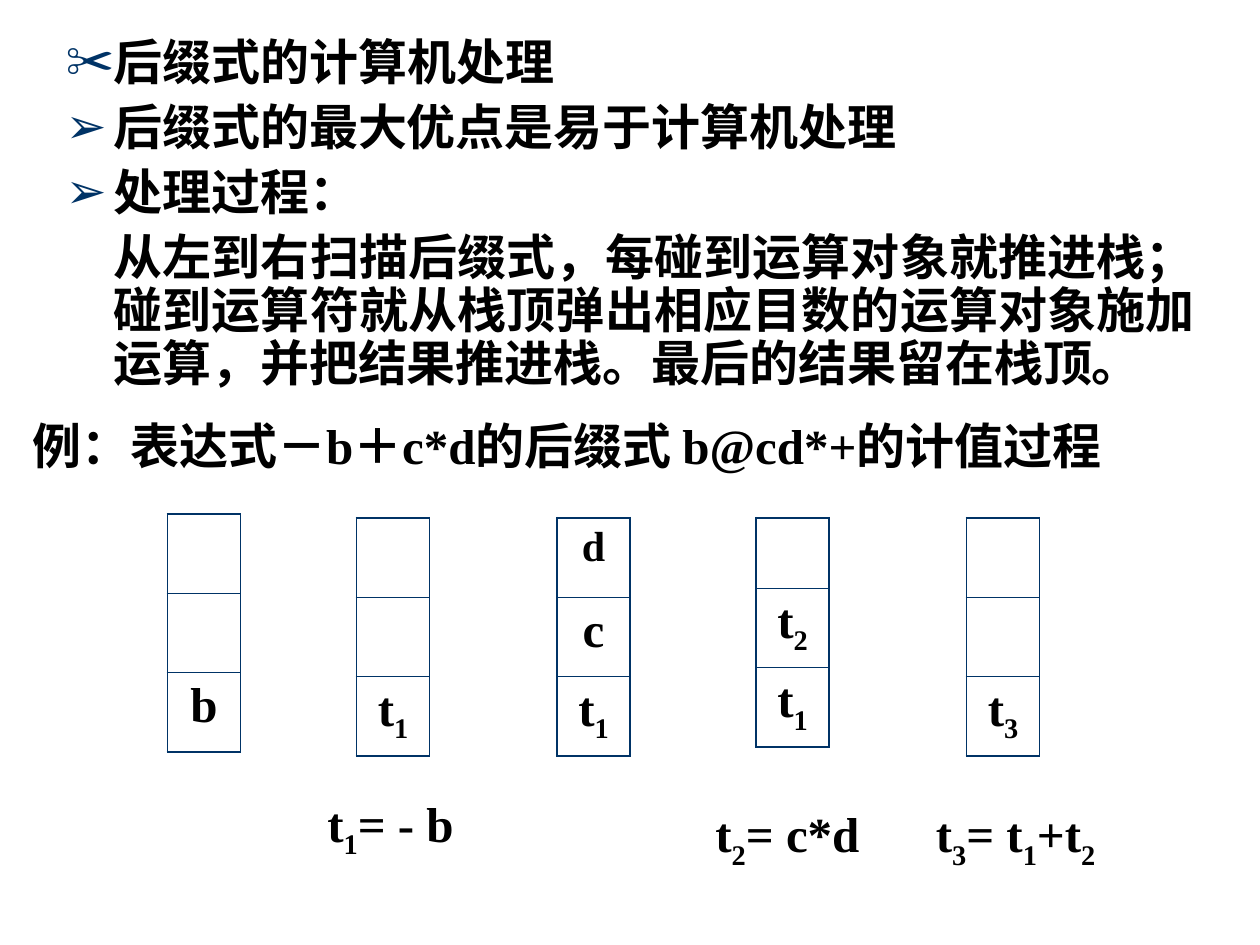
from lxml.etree import SubElement
from pptx import Presentation
from pptx.dml.color import RGBColor
from pptx.enum.text import MSO_ANCHOR, MSO_AUTO_SIZE, PP_ALIGN
from pptx.oxml.ns import qn
from pptx.util import Inches, Pt

COLORS = {"text": "000000", "accent": "003366"}
FONT = "Times New Roman"
CELL_SIZE = 0.63
STACK_WIDTH = 0.58

BULLETS = [
    ("✂", PP_ALIGN.LEFT, "后缀式的计算机处理"),
    ("➢", PP_ALIGN.JUSTIFY, "后缀式的最大优点是易于计算机处理"),
    ("➢", PP_ALIGN.JUSTIFY, "处理过程："),
    (None, PP_ALIGN.JUSTIFY,
     "从左到右扫描后缀式，每碰到运算对象就推进栈；碰到运算符就从栈顶弹出相应目数的"
     "运算对象施加运算，并把结果推进栈。最后的结果留在栈顶。"),
]
# left, top, height of the top cell, cells from top to bottom; "_" lowers the next character
STACKS = [
    (1.33, 4.08, CELL_SIZE, ["", "", "b"]),
    (2.83, 4.11, CELL_SIZE, ["", "", "t_1"]),
    (4.42, 4.11, CELL_SIZE, ["d", "c", "t_1"]),
    (6, 4.11, 0.56, ["", "t_2", "t_1"]),
    (7.67, 4.11, CELL_SIZE, ["", "", "t_3"]),
]
LABELS = [
    (2.5, 6.25, 1.33, 0.63, True, "t_1= - b"),
    (5.58, 6.33, 1.58, 0.63, True, "t_2= c*d"),
    (7.33, 6.33, 1.67, 0.63, True, "t_3= t_1+t_2"),
    (0.16, 3.25, 9.24, 0.57, False, "例：表达式－b＋c*d的后缀式 b@cd*+的计值过程"),
]


def add_run(paragraph, text, size, subscript=False):
    run = paragraph.add_run()
    run.text = text
    for name, value in {"name": FONT, "size": Pt(size), "bold": True}.items():
        setattr(run.font, name, value)
    run.font.color.rgb = RGBColor.from_string(COLORS["text"])
    if subscript:
        run._r.get_or_add_rPr().set("baseline", "-25000")


def write_formula(paragraph, formula, size=28):
    """Write text in which "_" makes the next character a subscript."""
    start, *pieces = formula.split("_")
    add_run(paragraph, start, size)
    for piece in pieces:
        add_run(paragraph, piece[0], size, subscript=True)
        if piece[1:]:
            add_run(paragraph, piece[1:], size)


def set_bullet(paragraph, symbol):
    properties = paragraph._p.get_or_add_pPr()
    properties.set("marL", str(Inches(0.38)))
    properties.set("indent", str(Inches(-0.38) if symbol else 0))
    if symbol:
        color = SubElement(properties, qn("a:buClr"))
        SubElement(color, qn("a:srgbClr"), val=COLORS["accent"])
        SubElement(properties, qn("a:buChar"), char=symbol)
    else:
        SubElement(properties, qn("a:buNone"))


def fill_body(body):
    box = {"left": 0.42, "top": 0.25, "width": 9.17, "height": 3.08}
    for name, value in box.items():
        setattr(body, name, Inches(value))
    frame = body.text_frame
    frame.auto_size = MSO_AUTO_SIZE.NONE
    frame.vertical_anchor = MSO_ANCHOR.TOP
    for index, (symbol, alignment, text) in enumerate(BULLETS):
        paragraph = frame.add_paragraph() if index else frame.paragraphs[0]
        paragraph.alignment = alignment
        paragraph.line_spacing = 0.9
        paragraph.space_before = Pt(7 if index else 0)
        set_bullet(paragraph, symbol)
        add_run(paragraph, text, 28)


def set_borders(cell, widths):
    properties = cell._tc.get_or_add_tcPr()
    for side, width in widths.items():
        line = SubElement(properties, qn(f"a:ln{side}"), w=str(Pt(width)))
        fill = SubElement(line, qn("a:solidFill"))
        SubElement(fill, qn("a:srgbClr"), val=COLORS["accent"])


def add_stack(slide, left, top, top_height, values):
    heights = [top_height] + [CELL_SIZE] * (len(values) - 1)
    table = slide.shapes.add_table(
        len(values), 1, Inches(left), Inches(top), Inches(STACK_WIDTH), Inches(sum(heights))
    ).table
    table.first_row = table.horz_banding = False
    last = len(values) - 1
    for index, (value, height) in enumerate(zip(values, heights)):
        table.rows[index].height = Inches(height)
        cell = table.cell(index, 0)
        set_borders(cell, {"L": 1.08, "R": 1.08,
                           "T": 0.45 if index else 1.08,
                           "B": 0.45 if index < last else 1.08})
        cell.fill.background()
        if value:
            paragraph = cell.text_frame.paragraphs[0]
            paragraph.alignment = PP_ALIGN.CENTER
            write_formula(paragraph, value, 24 if value == "d" else 28)


def add_label(slide, left, top, width, height, wrap, formula):
    frame = slide.shapes.add_textbox(
        Inches(left), Inches(top), Inches(width), Inches(height)
    ).text_frame
    frame.word_wrap = wrap
    frame.auto_size = MSO_AUTO_SIZE.SHAPE_TO_FIT_TEXT
    write_formula(frame.paragraphs[0], formula)


def main():
    presentation = Presentation()
    presentation.slide_width = Inches(10)
    presentation.slide_height = Inches(7.5)
    slide = presentation.slides.add_slide(presentation.slide_layouts[1])
    title = slide.shapes.title.element
    title.getparent().remove(title)
    fill_body(slide.placeholders[1])
    for stack in STACKS:
        add_stack(slide, *stack)
    for label in LABELS:
        add_label(slide, *label)
    presentation.save("out.pptx")


if __name__ == "__main__":
    main()
